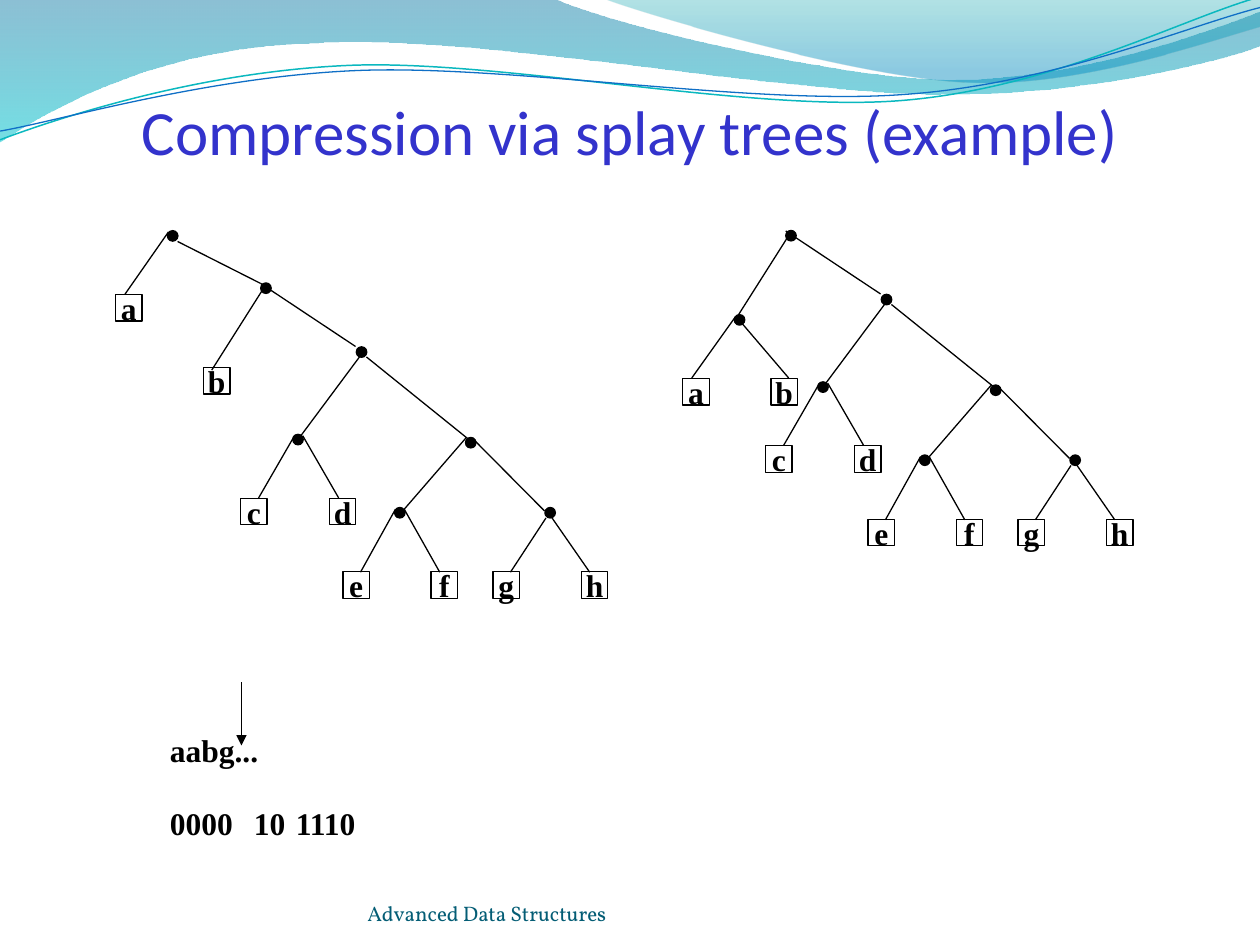
from lxml import etree
from pptx import Presentation
from pptx.dml.color import RGBColor
from pptx.enum.shapes import MSO_CONNECTOR, MSO_SHAPE
from pptx.enum.text import MSO_ANCHOR, MSO_AUTO_SIZE, PP_ALIGN
from pptx.oxml.ns import qn
from pptx.util import Pt

STRAIGHT = MSO_CONNECTOR.STRAIGHT
OVAL, RECTANGLE = MSO_SHAPE.OVAL, MSO_SHAPE.RECTANGLE
TOP, MIDDLE, BOTTOM = MSO_ANCHOR.TOP, MSO_ANCHOR.MIDDLE, MSO_ANCHOR.BOTTOM
LEFT, CENTER = PP_ALIGN.LEFT, PP_ALIGN.CENTER
GROW = MSO_AUTO_SIZE.SHAPE_TO_FIT_TEXT

BLACK = "000000"
SERIF = "Times New Roman"
DOT, LEAF = 6, 15.2
UNITS_PER_POINT = 100

WAVES = [
    {"start": (0, 0),
     "parts": [[(316.8, -0.7)],
               [(342.7, 12.2), (478, 45.4), (545.8, 45.4)],
               [(614.2, 45.4), (689.8, 18.7), (720, 6.5)],
               [(720.7, 25.9)],
               [(707.8, 31.7), (626.4, 54.7), (537.1, 54)],
               [(447.8, 54), (275, 20.2), (185, 24.5)],
               [(92.9, 25.9), (33.1, 59.8), (-0.7, 81.4)]],
     "stops": [(0, "0074A1", 45), (1, "00C6CF", 55)]},
    {"start": (344.9, -0.7),
     "parts": [[(366.5, 7.9), (491, 44.6), (553.7, 46.8)],
               [(616.3, 49.7), (691.9, 23), (720, 15.1)],
               [(720, 0)]],
     "stops": [(0, "00A1A9", 30), (0.8, "008BBF", 45)]},
    {"start": (0, 79.9),
     "parts": [[(34.6, 67), (113.8, 41), (199.4, 37.4)],
               [(284.4, 33.8), (427, 64.1), (513.4, 57.6)],
               [(599.8, 51.1), (675.4, 10.8), (718.6, -1.4)]],
     "line": ("0AB8BF", 0.85)},
    {"start": (0, 74.9),
     "parts": [[(33.8, 69.1), (118.1, 43.9), (203.8, 40.3)],
               [(290.2, 36.7), (429.8, 60.5), (516.2, 54)],
               [(601.9, 48.2), (677.5, 15.1), (720, 4.3)]],
     "line": ("0F6FC6", 0.75)},
]

SHARED = {
    "dots": [(149, 161.7), (203.6, 198.2), (266, 250), (167.3, 248.2),
             (225.5, 290), (311.4, 290)],
    "leaves": {"c": (137.5, 284.7), "d": (188.2, 284.7), "e": (196, 326.7),
               "f": (246.4, 326.7), "g": (281.8, 326.7), "h": (332.2, 326.7)},
    "edges": [(209.4, 204, 269, 252), (266.5, 250, 231, 291), (271, 251.5, 311.2, 292),
              (312, 291, 337, 327), (312, 296, 291.7, 327), (231, 291, 251.3, 327),
              (226, 291, 206, 327), (173, 249, 193.5, 284.5), (168.3, 249, 147.8, 284.5),
              (151.3, 163.7, 121, 211.5), (149, 162, 203.2, 198), (206.7, 202.3, 170.8, 250.5)],
}
BEFORE = {
    "dots": [(95.7, 131.8)],
    "leaves": {"a": (66, 168.3), "b": (116.3, 210)},
    "edges": [(96.3, 132.5, 71.3, 168.3), (101.5, 138, 149, 162)],
}
AFTER = {
    "dots": [(419.6, 179.8)],
    "leaves": {"a": (390.2, 216.3), "b": (440.6, 216.3)},
    "edges": [(420.5, 180.7, 450.7, 216), (420.5, 180.7, 395.3, 216)],
}
SHARED_SHIFT = (300, -30)

CODES = [
    ("aabg...", 90, 414, 462), ("0000", 90, 456, 444),
    ("10", 138, 456, 42), ("1110", 162, 456, 120),
]


def color(value):
    return RGBColor.from_string(value)


def write(box, text, font=SERIF, size=18, ink=BLACK, bold=False, align=LEFT,
          anchor=TOP, wrap=True, insets=(7.2, 3.6, 7.2, 3.6), fit=None):
    frame = box.text_frame
    frame.word_wrap = wrap
    frame.vertical_anchor = anchor
    if fit is not None:
        frame.auto_size = fit
    (frame.margin_left, frame.margin_top,
     frame.margin_right, frame.margin_bottom) = map(Pt, insets)
    para = frame.paragraphs[0]
    para.alignment = align
    span = para.add_run()
    span.text = text
    span.font.name = font
    span.font.size = Pt(size)
    span.font.bold = bold
    span.font.color.rgb = color(ink)


def add_text(page, text, left, top, width, height, **style):
    box = page.shapes.add_textbox(Pt(left), Pt(top), Pt(width), Pt(height))
    write(box, text, **style)


def add_line(shapes, x1, y1, x2, y2, arrow=False):
    line = shapes.add_connector(STRAIGHT, Pt(x1), Pt(y1), Pt(x2), Pt(y2))
    line.line.color.rgb = color(BLACK)
    line.line.width = Pt(0.75)
    if arrow:
        etree.SubElement(line.line._get_or_add_ln(), qn("a:tailEnd"), type="triangle")
    etree.SubElement(line._element.spPr, qn("a:effectLst"))


def add_node(shapes, kind, left, top, size):
    node = shapes.add_shape(kind, Pt(left), Pt(top), Pt(size), Pt(size))
    node.shadow.inherit = False
    node.line.color.rgb = color(BLACK)
    node.line.width = Pt(0.75)
    if kind == OVAL:
        node.fill.solid()
        node.fill.fore_color.rgb = color(BLACK)
    else:
        node.fill.background()
    return node


def add_tree(shapes, tree, shift=(0, 0)):
    dx, dy = shift
    for left, top in tree["dots"]:
        add_node(shapes, OVAL, left + dx, top + dy, DOT)
    for letter, (left, top) in tree["leaves"].items():
        leaf = add_node(shapes, RECTANGLE, left + dx, top + dy, LEAF)
        write(leaf, letter, bold=True, align=CENTER, anchor=MIDDLE, wrap=False)
    for x1, y1, x2, y2 in tree["edges"]:
        add_line(shapes, x1 + dx, y1 + dy, x2 + dx, y2 + dy)


def bend(shape, parts):
    segments = iter(list(shape._element.spPr.iter(qn("a:lnTo"))))
    for controls in parts:
        first, *others = [next(segments) for _ in controls]
        if others:
            first.tag = qn("a:cubicBezTo")
        for segment in others:
            first.append(segment[0])
            segment.getparent().remove(segment)


def add_wave(page, wave):
    points = [wave["start"]] + [point for controls in wave["parts"] for point in controls]
    units = [(x * UNITS_PER_POINT, y * UNITS_PER_POINT) for x, y in points]
    builder = page.shapes.build_freeform(*units[0], scale=Pt(1) / UNITS_PER_POINT)
    builder.add_line_segments(units[1:], close="stops" in wave)
    shape = builder.convert_to_shape()
    bend(shape, wave["parts"])
    shape.shadow.inherit = False
    if "line" in wave:
        ink, width = wave["line"]
        shape.fill.background()
        shape.line.color.rgb = color(ink)
        shape.line.width = Pt(width)
        return
    shape.fill.gradient()
    shape.fill.gradient_angle = 270
    for stop, (position, ink, _) in zip(shape.fill.gradient_stops, wave["stops"]):
        stop.position = position
        stop.color.rgb = color(ink)
    inks = shape._element.spPr.iter(qn("a:srgbClr"))
    for ink, (_, _, opacity) in zip(list(inks), wave["stops"]):
        etree.SubElement(ink, qn("a:alpha"), val=str(opacity * 1000))
    shape.line.fill.background()


def main():
    deck = Presentation()
    deck.slide_width, deck.slide_height = Pt(720), Pt(540)
    page = deck.slides.add_slide(deck.slide_layouts[6])
    for wave in WAVES:
        add_wave(page, wave)
    add_text(page, "Compression via splay trees (example)", 54, 6, 612, 90, font="Calibri",
             size=36, ink="3333CC", align=CENTER, anchor=BOTTOM, insets=(0, 3.6, 0, 0))
    add_tree(page.shapes, SHARED)
    add_tree(page.shapes, BEFORE)
    after = page.shapes.add_group_shape().shapes
    add_tree(after, SHARED, SHARED_SHIFT)
    add_tree(after, AFTER)
    add_line(page.shapes, 138, 390, 138, 426, arrow=True)
    for text, left, top, width in CODES:
        add_text(page, text, left, top, width, 36, bold=True, fit=GROW)
    add_text(page, "Advanced Data Structures", 210, 500.5, 264, 28.75, font="Vollkorn",
             size=12, ink="045D75", anchor=BOTTOM, insets=(0, 0, 0, 0))
    deck.save("out.pptx")


if __name__ == "__main__":
    main()
